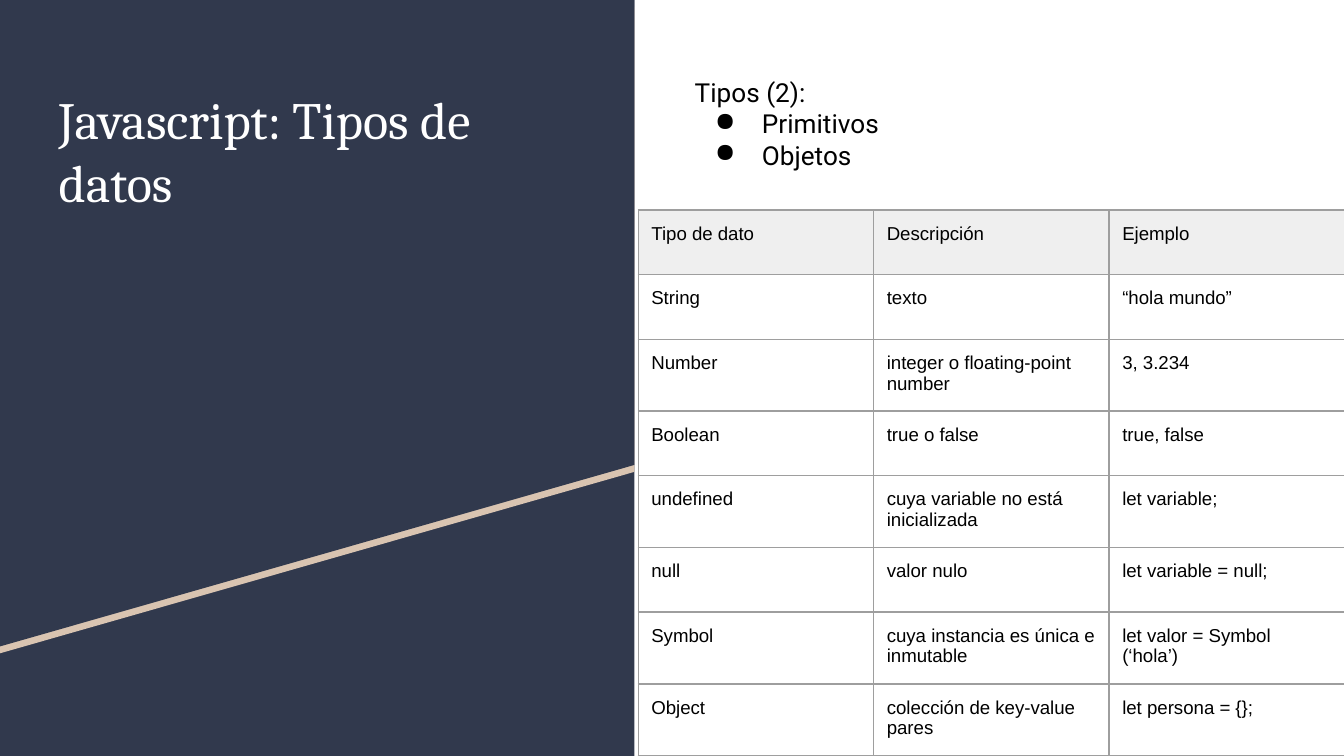
from lxml import etree
from pptx import Presentation
from pptx.dml.color import RGBColor
from pptx.enum.shapes import MSO_SHAPE
from pptx.enum.text import MSO_ANCHOR, MSO_AUTO_SIZE, PP_ALIGN
from pptx.oxml.ns import qn
from pptx.util import Cm, Pt

RECT = MSO_SHAPE.RECTANGLE
TOP = MSO_ANCHOR.TOP
LEFT = PP_ALIGN.LEFT
NO_FIT = MSO_AUTO_SIZE.NONE
GROW = MSO_AUTO_SIZE.SHAPE_TO_FIT_TEXT

COLORS = {
    "navy": "31394D",
    "sand": "D9C4B1",
    "white": "FFFFFF",
    "black": "000000",
    "head": "EFEFEF",
    "grid": "9E9E9E",
}
WIDE, HIGH = 25.4, 14.29
PANEL = 11.99
PAD = Cm(0.25)

ROWS = [
    ("Tipo de dato", "Descripción", "Ejemplo"),
    ("String", "texto", "“hola mundo”"),
    ("Number", "integer o floating-point number", "3, 3.234"),
    ("Boolean", "true o false", "true, false"),
    ("undefined", "cuya variable no está inicializada", "let variable;"),
    ("null", "valor nulo", "let variable = null;"),
    ("Symbol", "cuya instancia es única e inmutable", "let valor = Symbol (‘hola’)"),
    ("Object", "colección de key-value pares", "let persona = {};"),
]
LOW, TALL = 1.22, 1.36
HEIGHTS = [LOW, LOW, TALL, LOW, TALL, LOW, TALL, TALL]


def color(name):
    return RGBColor.from_string(COLORS[name])


class Deck:
    def __init__(self):
        self.prs = Presentation()
        self.prs.slide_width = Cm(WIDE)
        self.prs.slide_height = Cm(HIGH)
        self.slide = self.prs.slides.add_slide(self.prs.slide_layouts[5])
        self.shapes = self.slide.shapes

    def paint(self, shape, fill):
        shape.shadow.inherit = False
        shape.fill.solid()
        shape.fill.fore_color.rgb = color(fill)
        shape.line.fill.background()

    def rect(self, x, y, w, h, fill):
        self.paint(self.shapes.add_shape(RECT, Cm(x), Cm(y), Cm(w), Cm(h)), fill)

    def outline(self, points, fill):
        spots = [(Cm(x), Cm(y)) for x, y in points]
        build = self.shapes.build_freeform(*spots[0])
        build.add_line_segments(spots[1:], close=True)
        self.paint(build.convert_to_shape(), fill)

    def inset(self, item):
        item.margin_left = item.margin_right = PAD
        item.margin_top = item.margin_bottom = PAD

    def style(self, frame, size, font, ink):
        for para in frame.paragraphs:
            para.alignment = LEFT
            for run in para.runs:
                run.font.size = Pt(size)
                run.font.name = font
                run.font.color.rgb = color(ink)

    def frame(self, shape, text, fit):
        frame = shape.text_frame
        frame.text = text
        frame.word_wrap = True
        frame.auto_size = fit
        frame.vertical_anchor = TOP
        self.inset(frame)
        return frame

    def title(self, text, x, y, w, h):
        shape = self.shapes.title
        shape.left, shape.top, shape.width, shape.height = Cm(x), Cm(y), Cm(w), Cm(h)
        self.style(self.frame(shape, text, NO_FIT), 28, "Cambria", "white")
        # Bring the title in front of the panel
        shape._element.getparent().append(shape._element)

    def bullets(self, lead, items, x, y, w, h):
        box = self.shapes.add_textbox(Cm(x), Cm(y), Cm(w), Cm(h))
        frame = self.frame(box, "\n".join([lead, *items]), GROW)
        self.style(frame, 14, "Roboto", "black")
        for para in frame.paragraphs[1:]:
            props = para._p.get_or_add_pPr()
            props.set("marL", str(Cm(1.27)))
            props.set("indent", str(-Cm(0.89)))
            etree.SubElement(props, qn("a:buChar"), char="●")

    def border(self, cell):
        props = cell._tc.get_or_add_tcPr()
        for spot, side in enumerate(("lnL", "lnR", "lnT", "lnB")):
            line = etree.Element(qn("a:" + side), w=str(Pt(0.75)))
            fill = etree.SubElement(line, qn("a:solidFill"))
            etree.SubElement(fill, qn("a:srgbClr"), val=COLORS["grid"])
            props.insert(spot, line)

    def table(self, rows, heights, x, y, col):
        count = len(rows[0])
        table = self.shapes.add_table(
            len(rows), count, Cm(x), Cm(y), Cm(col * count), Cm(sum(heights))
        ).table
        table.first_row = table.horz_banding = False
        for column in table.columns:
            column.width = Cm(col)
        for r, (row, high) in enumerate(zip(rows, heights)):
            table.rows[r].height = Cm(high)
            for c, text in enumerate(row):
                cell = table.cell(r, c)
                cell.text_frame.text = text
                cell.vertical_anchor = TOP
                self.inset(cell)
                self.style(cell.text_frame, 10, "Arial", "black")
                if r == 0:
                    cell.fill.solid()
                    cell.fill.fore_color.rgb = color("head")
                else:
                    cell.fill.background()
                self.border(cell)


def main():
    deck = Deck()

    # Left panel with a slanted stripe
    deck.rect(0, 0, PANEL, HIGH, "navy")
    for drop, fill in ((0.13, "sand"), (0, "navy")):
        corners = [(0, 0), (PANEL, 0), (PANEL, 8.79), (0, 12.22)]
        deck.outline([(x, y + drop) for x, y in corners], fill)
    deck.title("Javascript: Tipos de datos", 0.86, 1.4, 10.29, 6.96)

    # Data types
    deck.table(ROWS, HEIGHTS, 12.06, 3.97, 4.45)
    deck.bullets("Tipos (2):", ["Primitivos", "Objetos"], 12.88, 1.19, 5.36, 2.31)

    deck.prs.save("out.pptx")


if __name__ == "__main__":
    main()
